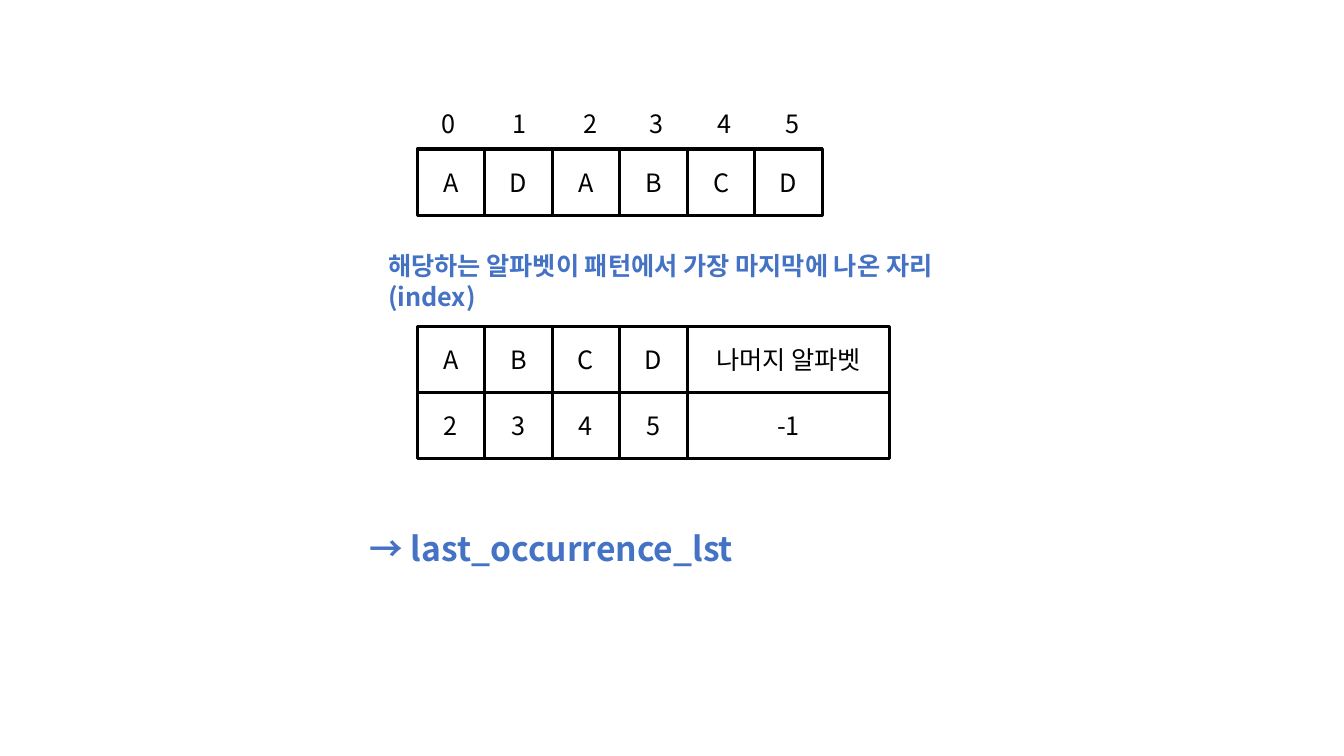
from lxml.etree import SubElement
from pptx import Presentation
from pptx.dml.color import RGBColor
from pptx.enum.shapes import MSO_SHAPE
from pptx.enum.text import MSO_ANCHOR, MSO_AUTO_SIZE, PP_ALIGN
from pptx.oxml.ns import qn
from pptx.util import Pt

COLORS = {"ink": "000000", "paper": "FFFFFF", "accent": "4472C4"}
FONT = "Noto Sans CJK KR"
CELL_WIDTH, CELL_HEIGHT, ROW_STEP = 48.24, 47.5, 47

FRAME = {"word_wrap": True, "auto_size": MSO_AUTO_SIZE.NONE,
         "margin_left": Pt(7.2), "margin_right": Pt(7.2),
         "margin_top": Pt(3.6), "margin_bottom": Pt(3.6)}
CELL_FRAME = {**FRAME, "vertical_anchor": MSO_ANCHOR.MIDDLE}
TEXT_FRAME = {**FRAME, "vertical_anchor": MSO_ANCHOR.TOP}
PLAIN = {"name": FONT, "size": Pt(18), "bold": False}
CAPTION = {**PLAIN, "bold": True}
RESULT = {**CAPTION, "size": Pt(24)}


def color(name):
    return RGBColor.from_string(COLORS[name])


def apply(target, values):
    for name, value in values.items():
        setattr(target, name, value)


def write(shape, text, frame, font, ink="ink", align=PP_ALIGN.LEFT):
    apply(shape.text_frame, frame)
    para = shape.text_frame.paragraphs[0]
    apply(para, {"alignment": align, "line_spacing": 1.0})
    span = para.add_run()
    span.text = text
    apply(span.font, font)
    span.font.color.rgb = color(ink)
    # Hangul takes its typeface from the East Asian font
    SubElement(span.font._element, qn("a:ea"), typeface=FONT)


def add_text(page, box, text, font=PLAIN, ink="ink"):
    shape = page.shapes.add_textbox(*map(Pt, box))
    write(shape, text, TEXT_FRAME, font, ink)


def add_cells(page, left, top, rows, spans):
    """Grid of bordered cells; spans gives each column's width in cells."""
    group = page.shapes.add_group_shape()
    for row, values in enumerate(rows):
        for column, value in enumerate(values):
            cell = group.shapes.add_shape(
                MSO_SHAPE.RECTANGLE,
                Pt(left + sum(spans[:column]) * CELL_WIDTH),
                Pt(top + row * ROW_STEP),
                Pt(spans[column] * CELL_WIDTH), Pt(CELL_HEIGHT))
            cell.shadow.inherit = False
            cell.fill.solid()
            cell.fill.fore_color.rgb = color("paper")
            cell.line.color.rgb = color("ink")
            cell.line.width = Pt(2.25)
            write(cell, value, CELL_FRAME, PLAIN, align=PP_ALIGN.CENTER)


def add_pattern(page, left, top):
    """Pattern letters with their indexes above."""
    add_cells(page, left, top + 33, ["ADABCD"], [1] * 6)
    for index, offset in enumerate([10, 61, 111.5, 159, 207.5, 256]):
        add_text(page, (left + offset, top, 23, 29), str(index))


def add_caption(page, box):
    """Heading of the lookup table, held by the title placeholder."""
    title = page.shapes.title
    apply(title, dict(zip(("left", "top", "width", "height"), map(Pt, box))))
    write(title, "해당하는 알파벳이 패턴에서 가장 마지막에 나온 자리(index)",
          TEXT_FRAME, CAPTION, "accent")


def add_lookup(page, left, top):
    """Last index of each letter."""
    rows = [["A", "B", "C", "D", "나머지 알파벳"], ["2", "3", "4", "5", "-1"]]
    add_cells(page, left, top, rows, [1, 1, 1, 1, 3])


deck = Presentation()
deck.slide_width, deck.slide_height = Pt(960), Pt(540)
page = deck.slides.add_slide(deck.slide_layouts[5])

add_pattern(page, 298, 73.5)
add_caption(page, (270, 175.5, 420, 51))
add_lookup(page, 298, 233.25)
add_text(page, (257, 373.5, 420, 36), "→ last_occurrence_lst", RESULT, "accent")

deck.save("out.pptx")
